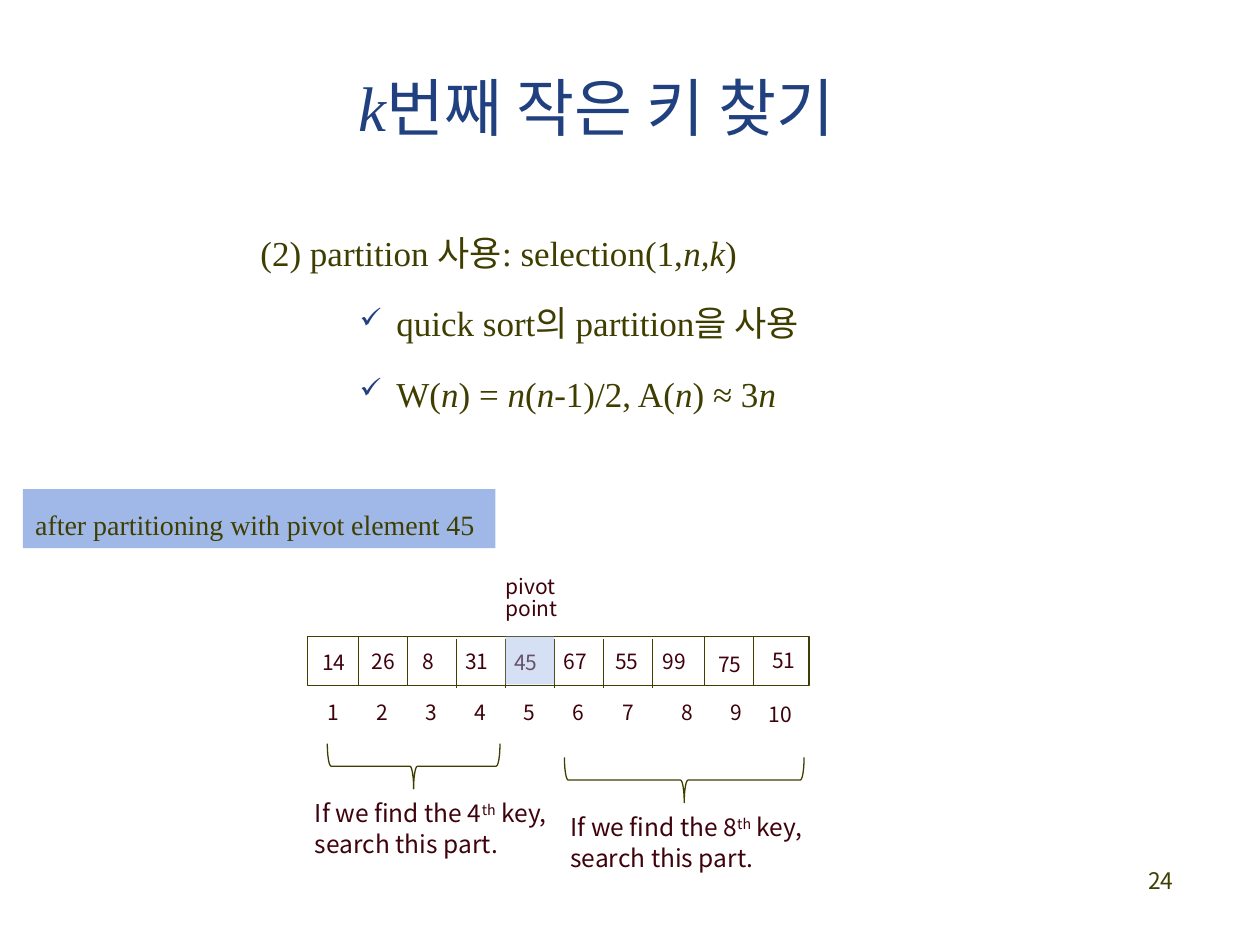
from lxml import etree
from pptx import Presentation
from pptx.dml.color import RGBColor
from pptx.enum.shapes import MSO_CONNECTOR, MSO_SHAPE
from pptx.enum.text import MSO_ANCHOR, PP_ALIGN
from pptx.oxml.ns import qn
from pptx.util import Cm, Pt

LINE = MSO_CONNECTOR.STRAIGHT
RECT, BRACE = MSO_SHAPE.RECTANGLE, MSO_SHAPE.LEFT_BRACE
TOP, MIDDLE = MSO_ANCHOR.TOP, MSO_ANCHOR.MIDDLE
LEFT, CENTER, RIGHT = PP_ALIGN.LEFT, PP_ALIGN.CENTER, PP_ALIGN.RIGHT
NAVY = RGBColor(0x20, 0x40, 0x80)
OLIVE = RGBColor(0x3F, 0x3E, 0x00)
WINE = RGBColor(0x3E, 0x02, 0x0C)
SKY = RGBColor(0x9F, 0xB8, 0xE7)
SERIF, SANS = "Times New Roman", "Noto Sans CJK KR"


def add_run(para, text, size, color, face, italic=False, base=0):
    """Add one formatted run."""
    run = para.add_run()
    run.text = text
    font = run.font
    font.size, font.name, font.italic = Pt(size), face, italic
    font.color.rgb = color
    if base:
        font._element.set("baseline", str(base * 1000))


def set_para(para, lead=0.9, gap=0, align=LEFT):
    """Set line spacing, space before and alignment."""
    para.line_spacing, para.space_before, para.alignment = lead, Pt(gap), align


def set_bullet(para):
    """Give a paragraph a hanging check mark."""
    props = para._p.get_or_add_pPr()
    props.set("marL", str(Cm(2.74)))
    props.set("indent", str(-Cm(0.74)))
    color = etree.SubElement(props, qn("a:buClr"))
    etree.SubElement(color, qn("a:srgbClr"), val=str(NAVY))
    etree.SubElement(props, qn("a:buSzPct"), val="80000")
    etree.SubElement(props, qn("a:buChar"), char="✓")


def add_box(slide, x, y, w, h, inset=True):
    """Add a wrapping text box and return its frame."""
    frame = slide.shapes.add_textbox(Cm(x), Cm(y), Cm(w), Cm(h)).text_frame
    frame.word_wrap = True
    if not inset:
        frame.margin_left = frame.margin_right = 0
        frame.margin_top = frame.margin_bottom = 0
    return frame


def add_label(slide, x, y, w, h, text):
    """Add a small text of the array."""
    para = add_box(slide, x, y, w, h, False).paragraphs[0]
    set_para(para)
    add_run(para, text, 12, WINE, SANS)


def add_form(slide, kind, x, y, w, h, fill=None, line=None):
    """Add a flat shape with an optional fill and line."""
    form = slide.shapes.add_shape(kind, Cm(x), Cm(y), Cm(w), Cm(h))
    form.shadow.inherit = False
    if fill:
        form.fill.solid()
        form.fill.fore_color.rgb = fill
    else:
        form.fill.background()
    if line:
        form.line.color.rgb = line
        form.line.width = Pt(0.75)
    else:
        form.line.fill.background()
    return form


def add_title(slide, x, y, w, h):
    """Place the title."""
    title = slide.shapes.title
    title.left, title.top, title.width, title.height = Cm(x), Cm(y), Cm(w), Cm(h)
    frame = title.text_frame
    frame.vertical_anchor = MIDDLE
    para = frame.paragraphs[0]
    para.alignment = CENTER
    add_run(para, "k", 36, NAVY, SERIF, True)
    add_run(para, "번째 작은 키 ", 36, NAVY, SANS)
    add_run(para, "찾기", 36, NAVY, SERIF)


def add_body(slide, x, y, w, h):
    """Place the heading line and its checked points."""
    rows = [
        ["(2) partition 사용: selection(1,", "n,k", ")"],
        ["quick sort의 partition을 사용"],
        ["W(", "n", ") = ", "n", "(", "n", "-1)/2, A(", "n", ") ≈ 3", "n"],
    ]
    frame = add_box(slide, x, y, w, h)
    for i, row in enumerate(rows):
        para = frame.add_paragraph() if i else frame.paragraphs[0]
        set_para(para, 1.5, 4.4)
        if i:
            set_bullet(para)
        for j, text in enumerate(row):
            add_run(para, text, 20, OLIVE, SERIF, j % 2 == 1)


def add_array(slide, x, y, w, h):
    """Draw the array with its values, indices and pivot."""
    step = 0.99
    add_form(slide, RECT, x, y, w, h, line=OLIVE)
    for i in range(1, 10):
        left = x + 0.03 + step * i + (0.05 if i > 7 else 0)
        top = y + (0.05 if 3 <= i <= 7 else 0)
        rule = slide.shapes.add_connector(LINE, Cm(left), Cm(top), Cm(left), Cm(top + h))
        rule.line.color.rgb = OLIVE
        rule.line.width = Pt(0.75)
        etree.SubElement(rule._element.spPr, qn("a:effectLst"))
    values = [
        (14, 0.3, 0.33), (26, 1.3, 0.3), (8, 2.31, 0.3), (31, 3.18, 0.3),
        (45, 4.17, 0.33), (67, 5.16, 0.3), (55, 6.2, 0.3), (99, 7.16, 0.3),
        (75, 8.28, 0.36), (51, 9.37, 0.28),
    ]
    for value, dx, dy in values:
        add_label(slide, x + dx, y + dy, 0.69, 0.71, str(value))
    for i in range(9):
        dx = 0.4 + step * i + (0.21 if i > 6 else 0)
        add_label(slide, x + dx, y + 1.32, 0.6, 0.5, str(i + 1))
    add_label(slide, x + 9.3, y + 1.37, 0.69, 0.5, "10")
    add_label(slide, x + 3.99, y - 1.22, 1.73, 0.86, "pivot point")
    pivot = add_form(slide, RECT, x + 3.99, y, step, 0.97, SKY)
    tint = pivot._element.spPr.find(qn("a:solidFill"))[0]
    etree.SubElement(tint, qn("a:alpha"), val="43000")


def add_note(slide, x, y, w, h, shift, nth):
    """Draw a brace lying over its two-line note."""
    brace = add_form(slide, BRACE, x + (w - h) / 2, y + (h - w) / 2, h, w, line=OLIVE)
    brace.rotation = 270
    frame = add_box(slide, x - shift, y + 1.04, 5.7, 1.45)
    para = frame.paragraphs[0]
    set_para(para)
    add_run(para, f"If we find the {nth}", 14, WINE, SANS)
    add_run(para, "th", 14, WINE, SANS, base=30)
    add_run(para, " key, ", 14, WINE, SANS)
    para = frame.add_paragraph()
    set_para(para, gap=2.8)
    add_run(para, "search this part. ", 14, WINE, SANS)


def add_band(slide, x, y, w, h):
    """Draw the filled caption."""
    frame = add_form(slide, RECT, x, y, w, h, SKY).text_frame
    frame.word_wrap = True
    frame.vertical_anchor = TOP
    para = frame.paragraphs[0]
    set_para(para, Pt(26), 3.2)
    add_run(para, "after partitioning with pivot element 45", 16, OLIVE, SERIF)


def add_number(slide, x, y, w, h):
    """Place the slide number."""
    para = add_box(slide, x, y, w, h).paragraphs[0]
    para.alignment = RIGHT
    add_run(para, "24", 13, OLIVE, SANS)


def main():
    """Build and save the slide."""
    deck = Presentation()
    deck.slide_width, deck.slide_height = Cm(25.4), Cm(19.05)
    slide = deck.slides.add_slide(deck.slide_layouts[5])
    add_body(slide, 5, 4.11, 11.73, 5.5)
    add_title(slide, 5 - 4.59, 1.19, 23.22, 1.91)
    add_number(slide, 18.62, 17.35, 5.28, 1.27)
    add_array(slide, 6.2, 12.83, 10.11, 0.99)
    add_note(slide, 6.6, 14.99, 3.48, 0.91, 0.5, 4)
    add_note(slide, 11.38, 15.27, 4.83, 0.91, 0.13, 8)
    add_band(slide, 0.46, 9.86, 9.53, 1.19)
    deck.save("out.pptx")


main()
